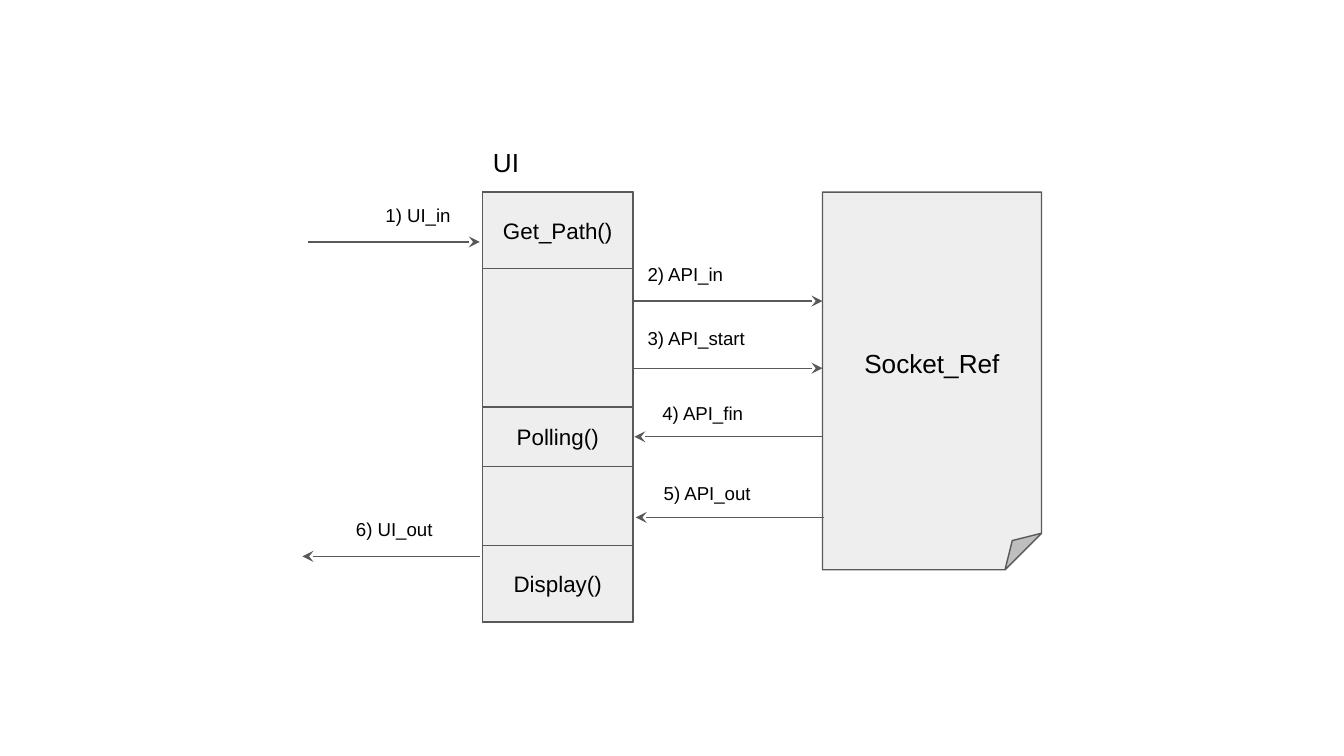
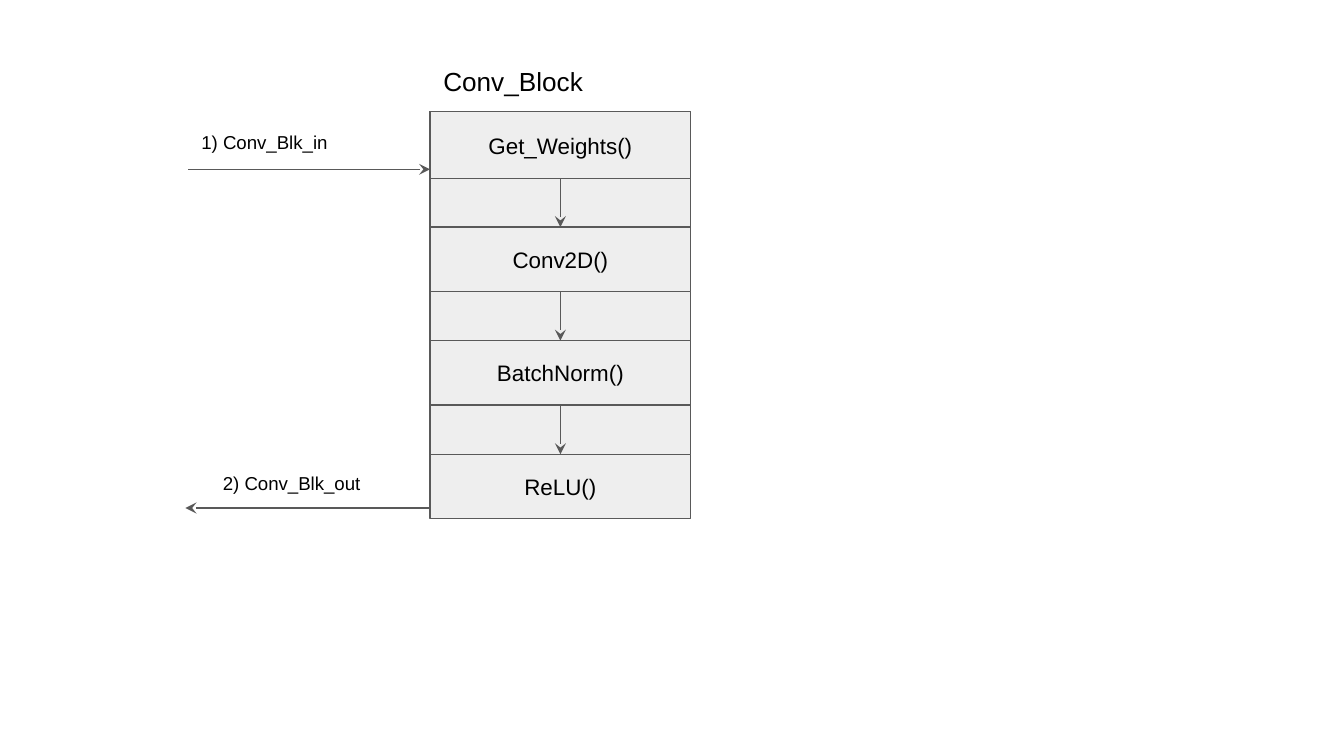
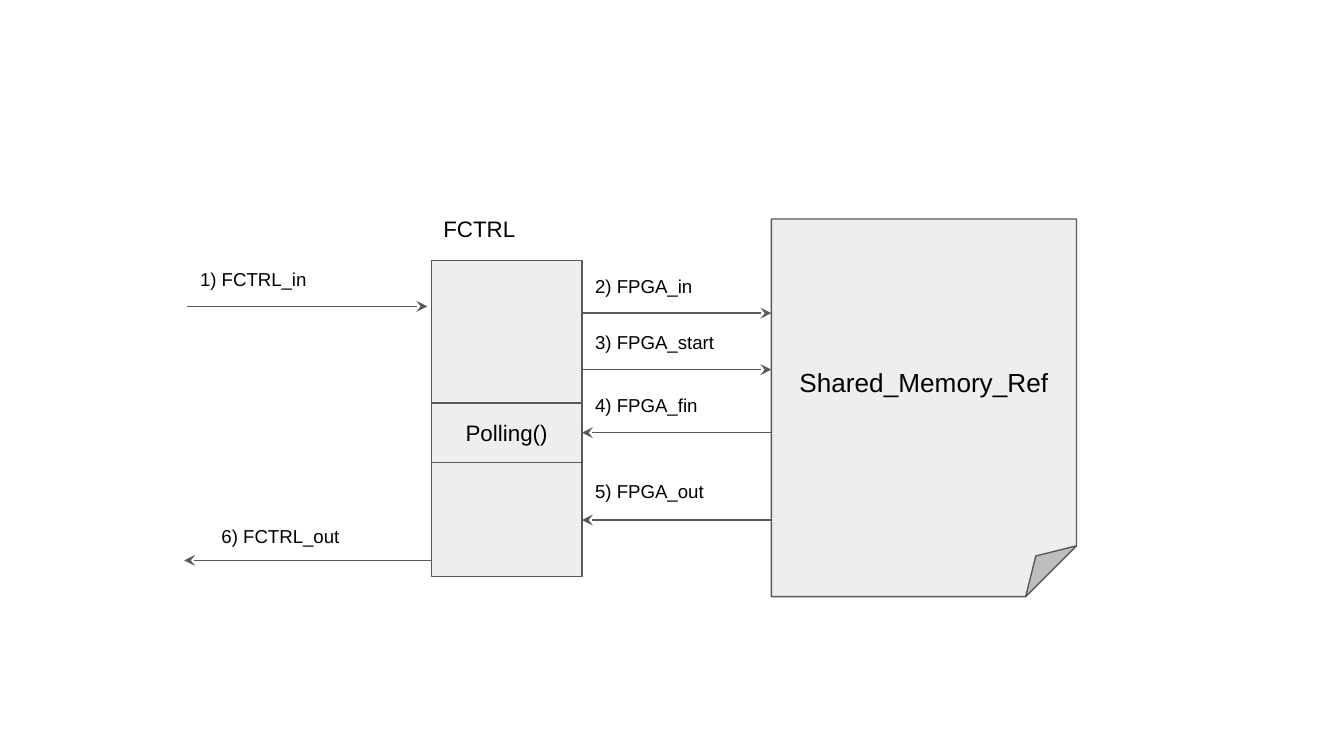
"""Draw three block diagrams of calls between a module and its reference memory."""
import dataclasses
import typing

import lxml.etree
import pptx
import pptx.dml.color
import pptx.enum.shapes
import pptx.enum.text
import pptx.oxml.ns
import pptx.util

SHAPE = pptx.enum.shapes.MSO_SHAPE
ALIGN = pptx.enum.text.PP_ALIGN
ANCHOR = pptx.enum.text.MSO_ANCHOR
SIZING = pptx.enum.text.MSO_AUTO_SIZE

COLOURS = {"fill": "EEEEEE", "line": "595959", "text": "000000"}
FONT = "Arial"
SIZES = {"title": 14, "call": 12, "signal": 10}
COLUMNS = 100
SLIDE_WIDTH = pptx.util.Inches(10)
SLIDE_HEIGHT = pptx.util.Inches(5.625)
CELL = SLIDE_WIDTH // COLUMNS
SIGNAL_HEIGHT = 3.7
INSET = CELL
FRAME = {"margin_left": INSET, "margin_right": INSET, "margin_top": INSET,
         "margin_bottom": INSET, "word_wrap": True}
BLOCK_FRAME = {**FRAME, "vertical_anchor": ANCHOR.MIDDLE}
LABEL_FRAME = {**FRAME, "vertical_anchor": ANCHOR.TOP, "auto_size": SIZING.SHAPE_TO_FIT_TEXT}


@dataclasses.dataclass(frozen=True)
class Block:
    """A grey block placed in grid columns and rows."""
    left: float
    top: float
    width: float
    height: float
    text: str = ""
    size: int = SIZES["call"]
    kind: typing.Any = SHAPE.RECTANGLE


@dataclasses.dataclass(frozen=True)
class Label:
    """A line of text on the grid."""
    text: str
    left: float
    top: float
    width: float
    height: float = SIGNAL_HEIGHT
    size: int = SIZES["signal"]


@dataclasses.dataclass(frozen=True)
class Signal:
    """A horizontal arrow and the label that stands above it."""
    text: str
    left: float
    right: float
    row: float
    label_left: float
    label_width: float
    points_right: bool = True
    rise: float = SIGNAL_HEIGHT


@dataclasses.dataclass(frozen=True)
class Diagram:
    """Everything that one slide shows."""
    heading: Label
    blocks: list[Block]
    signals: list[Signal]
    steps: list[tuple[float, float, float]] = dataclasses.field(default_factory=list)


def cells(*lengths: float) -> list[int]:
    """Turn grid lengths into slide units."""
    return [round(length * CELL) for length in lengths]


def apply(target: typing.Any, values: dict[str, typing.Any]) -> None:
    """Set every format value on the target."""
    for name, value in values.items():
        setattr(target, name, value)


def colour(name: str) -> pptx.dml.color.RGBColor:
    """Look up a shared colour."""
    return pptx.dml.color.RGBColor.from_string(COLOURS[name])


def write(shape: typing.Any, text: str, size: int, frame: dict, alignment: typing.Any) -> None:
    """Put one formatted paragraph into a shape."""
    apply(shape.text_frame, frame)
    paragraph = shape.text_frame.paragraphs[0]
    paragraph.alignment = alignment
    run = paragraph.add_run()
    run.text = text
    apply(run.font, {"name": FONT, "size": pptx.util.Pt(size)})
    run.font.color.rgb = colour("text")


def outline(shape: typing.Any) -> None:
    """Give a shape or connector the shared thin line."""
    shape.line.color.rgb = colour("line")
    shape.line.width = pptx.util.Pt(0.75)


def draw_block(slide: typing.Any, block: Block) -> None:
    """Draw a block with its centred text."""
    shape = slide.shapes.add_shape(
        block.kind, *cells(block.left, block.top, block.width, block.height))
    shape.shadow.inherit = False
    shape.fill.solid()
    shape.fill.fore_color.rgb = colour("fill")
    outline(shape)
    if block.text:
        write(shape, block.text, block.size, BLOCK_FRAME, ALIGN.CENTER)


def draw_label(slide: typing.Any, label: Label) -> None:
    """Draw a left-aligned text box."""
    shape = slide.shapes.add_textbox(*cells(label.left, label.top, label.width, label.height))
    write(shape, label.text, label.size, LABEL_FRAME, ALIGN.LEFT)


def draw_arrow(slide: typing.Any, start: tuple[float, float], end: tuple[float, float],
               arrow_end: str = "tailEnd") -> None:
    """Draw a straight connector with a stealth arrowhead."""
    connector = slide.shapes.add_connector(
        pptx.enum.shapes.MSO_CONNECTOR.STRAIGHT, *cells(*start, *end))
    outline(connector)
    arrowhead = lxml.etree.SubElement(
        connector.line._get_or_add_ln(), pptx.oxml.ns.qn(f"a:{arrow_end}"))
    apply_attributes = {"type": "stealth", "w": "med", "len": "med"}
    for name, value in apply_attributes.items():
        arrowhead.set(name, value)
    lxml.etree.SubElement(connector._element.spPr, pptx.oxml.ns.qn("a:effectLst"))


def draw_signal(slide: typing.Any, signal: Signal) -> None:
    """Draw a signal arrow and its label."""
    draw_arrow(slide, (signal.left, signal.row), (signal.right, signal.row),
               "tailEnd" if signal.points_right else "headEnd")
    draw_label(slide, Label(signal.text, signal.label_left, signal.row - signal.rise,
                            signal.label_width))


def draw_diagram(presentation: typing.Any, diagram: Diagram) -> None:
    """Add a blank slide and draw a diagram on it."""
    slide = presentation.slides.add_slide(presentation.slide_layouts[6])
    for block in diagram.blocks:
        draw_block(slide, block)
    draw_label(slide, diagram.heading)
    for column, top, bottom in diagram.steps:
        draw_arrow(slide, (column, top), (column, bottom))
    for signal in diagram.signals:
        draw_signal(slide, signal)


def interface_diagram() -> Diagram:
    """Describe the user interface and its socket."""
    left, width = 35.9, 11.2
    return Diagram(
        Label("UI", 35.7, 9.9, 5, 4.4, SIZES["title"]),
        [Block(left, 14.3, width, 32),
         Block(61.2, 14.3, 16.3, 28.1, "Socket_Ref", SIZES["title"], SHAPE.FOLDED_CORNER),
         Block(left, 14.3, width, 5.7, "Get_Path()"),
         Block(left, 30.3, width, 4.4, "Polling()"),
         Block(left, 40.6, width, 5.7, "Display()")],
        [Signal("1) UI_in", 22.9, 35.7, 18, 27.7, 8),
         Signal("2) API_in", 47.2, 61.2, 22.4, 47.2, 10.3),
         Signal("3) API_start", 47.2, 61.2, 27.4, 47.2, 9.6, rise=3.9),
         Signal("4) API_fin", 47.2, 61.2, 32.5, 48.3, 12.1, False, 3.4),
         Signal("5) API_out", 47.3, 61.3, 38.5, 48.4, 12.1, False, 3.5),
         Signal("6) UI_out", 22.5, 35.7, 41.4, 25.5, 9.1, False)])


def convolution_diagram() -> Diagram:
    """Describe the chain of layers in a convolution block."""
    left, width, first_top, pitch, gap = 32, 19.4, 16.9, 8.45, 3.6
    layers = ["Conv2D()", "BatchNorm()", "ReLU()"]
    tops = [first_top + pitch * index for index in range(len(layers))]
    return Diagram(
        Label("Conv_Block", left, 3.9, 15.6, 4.4, SIZES["title"]),
        [Block(left, 8.3, width, 30.2),
         Block(left, 8.3, width, 5, "Get_Weights()"),
         *(Block(left, top, width, 4.8, text) for top, text in zip(tops, layers))],
        [Signal("1) Conv_Blk_in", 14, left, 12.6, 14, 13.4),
         Signal("2) Conv_Blk_out", 13.8, left, 37.8, 15.6, 15.6, False, 3.5)],
        [(left + width / 2, top - gap, top) for top in tops])


def controller_diagram() -> Diagram:
    """Describe the controller and its shared memory."""
    left, width, near, far = 32.1, 11.2, 43.3, 57.4
    return Diagram(
        Label("FCTRL", 32, 15, 17.1, 4, SIZES["call"]),
        [Block(left, 19.4, width, 23.5),
         Block(far, 16.3, 22.7, 28.1, "Shared_Memory_Ref", SIZES["title"], SHAPE.FOLDED_CORNER),
         Block(left, 30, width, 4.4, "Polling()")],
        [Signal("1) FCTRL_in", 13.9, 31.8, 22.8, 13.9, 15.6),
         Signal("2) FPGA_in", near, far, 23.3, near, 10.3),
         Signal("3) FPGA_start", near, far, 27.5, near, 12.1),
         Signal("4) FPGA_fin", near, far, 32.2, near, 12.1, False),
         Signal("5) FPGA_out", near, far, 38.7, near, 12.1, False, 3.8),
         Signal("6) FCTRL_out", 13.7, left, 41.7, 15.5, 15.6, False, 3.5)])


def main() -> None:
    """Build and save the presentation."""
    presentation = pptx.Presentation()
    apply(presentation, {"slide_width": SLIDE_WIDTH, "slide_height": SLIDE_HEIGHT})
    for diagram in (interface_diagram(), convolution_diagram(), controller_diagram()):
        draw_diagram(presentation, diagram)
    presentation.save("out.pptx")


main()
